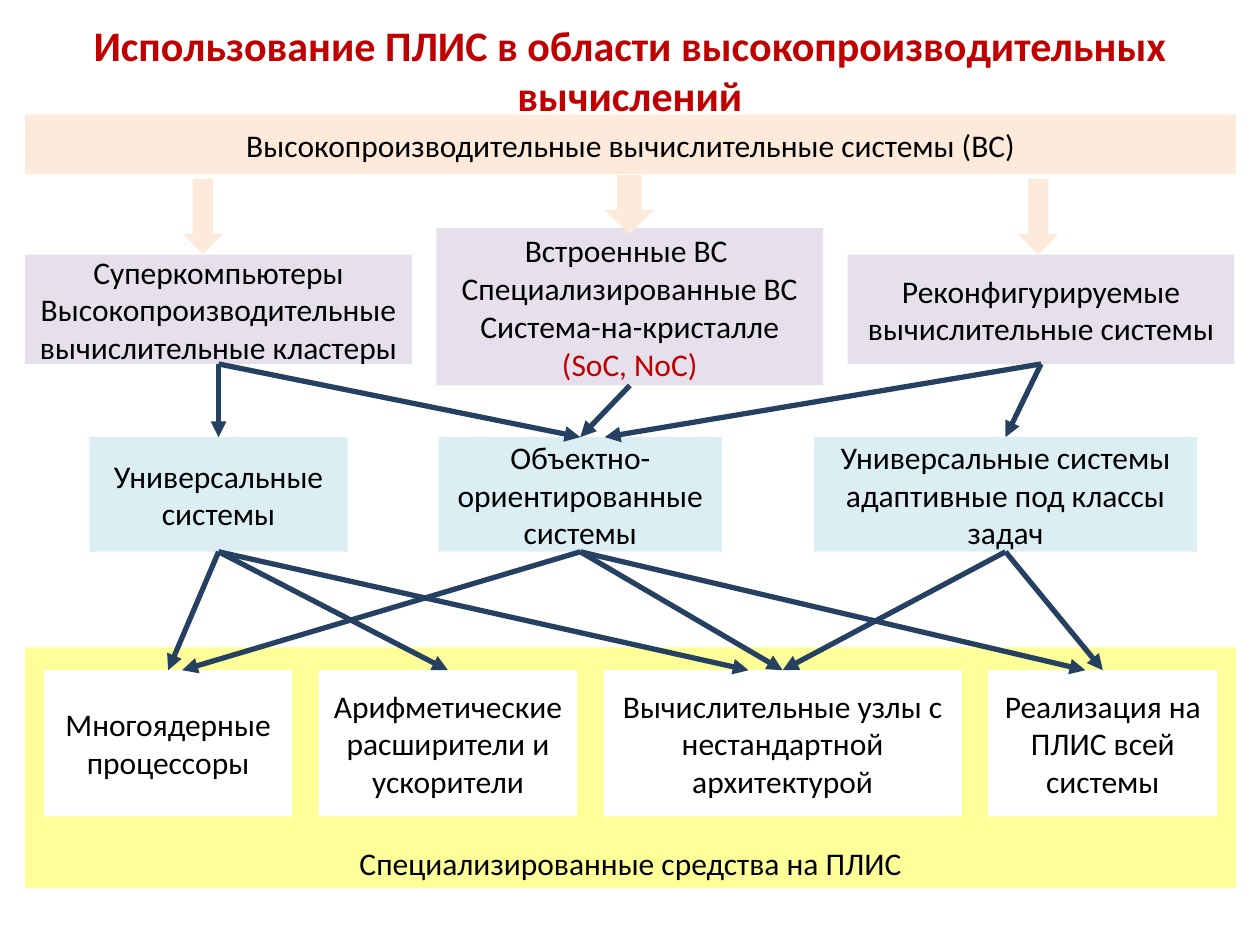
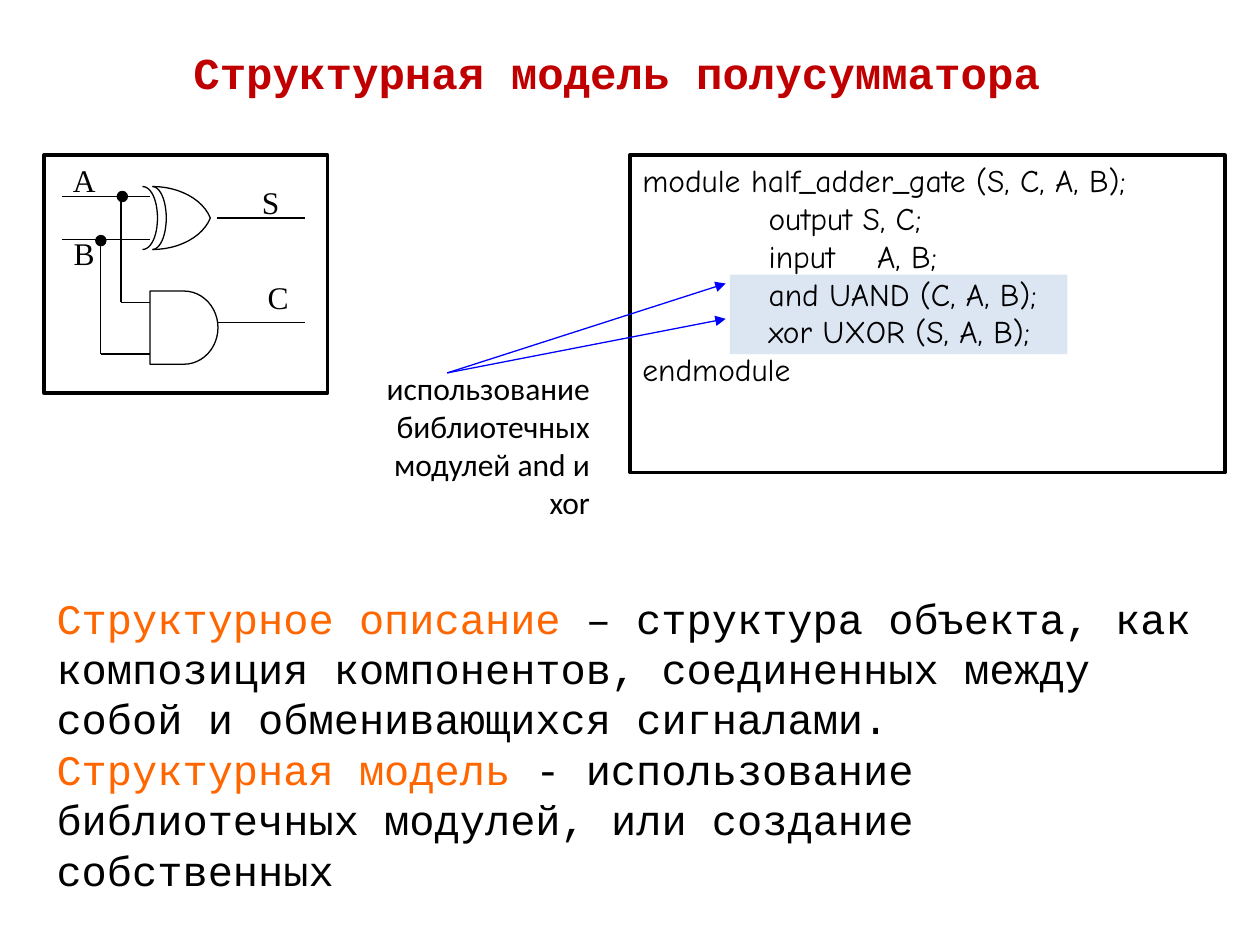
from math import comb

from pptx import Presentation
from pptx.dml.color import RGBColor
from pptx.enum.shapes import MSO_CONNECTOR, MSO_SHAPE
from pptx.enum.text import MSO_ANCHOR, PP_ALIGN
from pptx.oxml.ns import qn
from pptx.util import Pt
from lxml import etree

RECT, DOWN_ARROW = MSO_SHAPE.RECTANGLE, MSO_SHAPE.DOWN_ARROW
DELAY, OVAL = MSO_SHAPE.FLOWCHART_DELAY, MSO_SHAPE.OVAL
STRAIGHT = MSO_CONNECTOR.STRAIGHT
TOP, MIDDLE, BOTTOM = MSO_ANCHOR.TOP, MSO_ANCHOR.MIDDLE, MSO_ANCHOR.BOTTOM
LEFT, CENTER, RIGHT = PP_ALIGN.LEFT, PP_ALIGN.CENTER, PP_ALIGN.RIGHT
TOP_SIDE, BOTTOM_SIDE = 0, 2

color = RGBColor.from_string
BLACK, WHITE, RED, ORANGE = "000000", "FFFFFF", "C00000", "FF6600"
PEACH, LILAC, AQUA, YELLOW = "FDEADA", "E6E0EC", "DBEEF4", "FFFF99"
NAVY, BLUE, PALE_BLUE = "254061", "0000FF", "DCE6F2"

LABEL = {"name": "Calibri", "size": Pt(18)}
CODE = {"name": "Comic Neue", "size": Pt(18)}
SIGNAL = {"name": "Times New Roman", "size": Pt(18)}
BODY = {"name": "Courier New", "size": Pt(24)}


def add_box(shapes, kind, at, fill=None, line=None, paras=(), font=LABEL,
            align=CENTER, anchor=MIDDLE, wrap=True):
    """Add a shape, or a text box if kind is None.

    A paragraph is a string or a list of (text, colour) spans.
    """
    place = [Pt(value) for value in at]
    if kind is None:
        box = shapes.add_textbox(*place)
    else:
        box = shapes.add_shape(kind, *place)
        box.shadow.inherit = False
        if fill:
            box.fill.solid()
            box.fill.fore_color.rgb = color(fill)
        else:
            box.fill.background()
        if line:
            box.line.color.rgb = color(BLACK)
            box.line.width = Pt(line)
        else:
            box.line.fill.background()

    frame = box.text_frame
    for name, value in {"word_wrap": wrap, "vertical_anchor": anchor}.items():
        setattr(frame, name, value)
    for index, spans in enumerate(paras):
        para = frame.add_paragraph() if index else frame.paragraphs[0]
        para.alignment = align
        if isinstance(spans, str):
            spans = [(spans, BLACK)]
        for text, tint in spans:
            span = para.add_run()
            span.text = text
            for name, value in font.items():
                setattr(span.font, name, value)
            span.font.color.rgb = color(tint)
    return box


def add_line(shapes, start, end, tint=BLACK, width=0.75, arrow=False):
    line = shapes.add_connector(STRAIGHT, *[Pt(value) for value in (*start, *end)])
    line.line.color.rgb = color(tint)
    line.line.width = Pt(width)
    properties = line.element.spPr
    if arrow:
        etree.SubElement(properties.find(qn("a:ln")), qn("a:tailEnd"), type="triangle")
    etree.SubElement(properties, qn("a:effectLst"))
    return line


deck = Presentation()
deck.slide_width, deck.slide_height = Pt(720), Pt(540)
blank = deck.slide_layouts[6]
titles = [
    ("Использование ПЛИС в области высокопроизводительных вычислений",
     (36, 15, 648, 50), "Calibri", 24),
    ("Структурная модель полусумматора ", (36, 21.6, 648, 39), "Courier New", 25.2),
]
pages = []
for title, at, typeface, size in titles:
    page = deck.slides.add_slide(blank)
    add_box(page.shapes, None, at, paras=[[(title, RED)]],
            font={"name": typeface, "size": Pt(size), "bold": True})
    pages.append(page)

# Slide 1: hierarchy of computing systems
shapes = pages[0].shapes
margin, full_width = 14.4, 692
add_box(shapes, RECT, (margin, 370, full_width, 137.6), YELLOW,
        paras=["Специализированные средства на ПЛИС"], anchor=BOTTOM)
add_box(shapes, RECT, (margin, 65.5, full_width, 34), PEACH,
        paras=["Высокопроизводительные вычислительные системы (ВС)"])

boxes = {}
system_classes = [
    ("clusters", 145.5, 62.5,
     ["Суперкомпьютеры", "Высокопроизводительные вычислительные кластеры"]),
    ("embedded", 130.3, 90,
     ["Встроенные ВС ", "Специализированные ВС",
      [("Система-на-кристалле ", BLACK), ("(SoC, NoC)", RED)]]),
    ("reconfigurable", 145.5, 62.5, ["Реконфигурируемые вычислительные системы"]),
]
for column, (key, top, height, paras) in enumerate(system_classes):
    boxes[key] = add_box(shapes, RECT, (margin + 235 * column, top, 221, height),
                         LILAC, paras=paras)

for at in [(104.4, 102.2, 23, 43.2), (345.6, 100, 28, 34), (581.8, 102.2, 23, 43.2)]:
    add_box(shapes, DOWN_ARROW, at, PEACH)

orientations = [
    ("universal", 51.1, 147.6, "Универсальные системы"),
    ("object", 250.6, 162, "Объектно-ориентированные системы"),
    ("adaptive", 465.1, 219, "Универсальные системы адаптивные под классы задач"),
]
for key, left, width, text in orientations:
    boxes[key] = add_box(shapes, RECT, (left, 249.8, width, 65.5), AQUA, paras=[text])

means = [
    ("cores", 141.8, "Многоядерные процессоры"),
    ("arithmetic", 147.6, "Арифметические расширители и ускорители"),
    ("nodes", 204.5, "Вычислительные узлы с нестандартной архитектурой"),
    ("whole", 131, "Реализация на ПЛИС всей системы"),
]
left = 25.2
for key, width, text in means:
    boxes[key] = add_box(shapes, RECT, (left, 383, width, 83.5), WHITE, paras=[text])
    left += width + 15.2

# Arrows with a shift end beside the middle of the target's top side
links = [
    ("clusters", "universal", 0), ("clusters", "object", 0),
    ("embedded", "object", 0),
    ("reconfigurable", "object", 14), ("reconfigurable", "adaptive", 0),
    ("universal", "cores", 0), ("universal", "arithmetic", 0),
    ("universal", "nodes", -19.5),
    ("object", "cores", 8), ("object", "nodes", 0), ("object", "whole", -10),
    ("adaptive", "nodes", 0), ("adaptive", "whole", 0),
]
for source, target, shift in links:
    goal = boxes[target]
    end = ((goal.left + goal.width / 2) / Pt(1) + shift, goal.top / Pt(1))
    arrow = add_line(shapes, (0, 0), end, NAVY, 3, arrow=True)
    arrow.begin_connect(boxes[source], BOTTOM_SIDE)
    if not shift:
        arrow.end_connect(goal, TOP_SIDE)

# Slide 2: half adder
shapes = pages[1].shapes
add_box(shapes, RECT, (417, 157, 193, 45.4), PALE_BLUE)
code = [
    "module half_adder_gate (S, C, A, B);",
    "            output S, C;",
    "            input    A, B;",
    "            and UAND (C, A, B);",
    "            xor UXOR (S, A, B);",
    "endmodule",
]
add_box(shapes, RECT, (360, 88.6, 340, 181.4), line=2, paras=code, font=CODE,
        align=LEFT, anchor=TOP)

circuit = shapes.add_group_shape().shapes
wires = [
    ((35.3, 112.3), (85.7, 112.3)), ((35.3, 136.8), (85.7, 136.8)),
    ((69.1, 112.3), (69.1, 172.8)), ((69.1, 172.8), (85.7, 172.8)),
    ((57.6, 136.8), (57.6, 202.3)), ((57.6, 202.3), (85.7, 202.3)),
    ((123.8, 124.6), (174.2, 124.6)), ((123.8, 184.3), (174.2, 184.3)),
]
for start, end in wires:
    add_line(circuit, start, end)
add_box(circuit, DELAY, (85.7, 166.3, 38.9, 41.8), line=0.75)
for left, top in [(54.7, 134.6), (67, 109.4)]:
    add_box(circuit, OVAL, (left, top, 5.8, 5.8), BLACK, 0.75)
for name, left, top in [("A", 34.6, 88.6), ("B", 34.6, 130.3),
                        ("S", 141.1, 100.8), ("C", 145.4, 155.5)]:
    add_box(circuit, None, (left, top, 27, 28.8), paras=[name], font=SIGNAL, wrap=False)

# Each XOR curve is a Bezier half above the gate's axis and its mirror below
axis, steps = 124.6, 12
xor_curves = [
    [(87.1, 18), (102.2, 18), (115.9, 10.8), (120.2, 0)],
    [(87.1, 18), (91.4, 18), (95, 10.1), (95, 0)],
    [(81.4, 18), (86.4, 18), (90, 10.1), (90, 0)],
]
for controls in xor_curves:
    half = []
    for step in range(steps + 1):
        t = step / steps
        weights = [comb(3, k) * (1 - t) ** (3 - k) * t ** k for k in range(4)]
        half.append([sum(w * point[i] for w, point in zip(weights, controls))
                     for i in (0, 1)])
    outline = [(Pt(x), Pt(axis - y)) for x, y in half]
    outline += [(Pt(x), Pt(axis + y)) for x, y in reversed(half[:-1])]
    builder = circuit.build_freeform(*outline[0])
    builder.add_line_segments(outline[1:], close=False)
    curve = builder.convert_to_shape()
    curve.shadow.inherit = False
    curve.fill.background()
    curve.line.color.rgb = color(BLACK)
    curve.line.width = Pt(0.75)

add_box(shapes, RECT, (25.2, 88.6, 162, 136), line=2)
definitions = [
    [("Структурное описание", ORANGE),
     (" – структура объекта, как композиция компонентов, соединенных между собой "
      "и обменивающихся сигналами.", BLACK)],
    [("Структурная модель", ORANGE),
     (" - использование библиотечных модулей, или создание собственных", BLACK)],
]
add_box(shapes, None, (25.2, 334.8, 663, 167), paras=definitions, font=BODY,
        align=LEFT, anchor=TOP)
add_box(shapes, None, (198, 207.4, 146.2, 67.7), align=RIGHT, anchor=TOP,
        paras=["использование", "библиотечных", "модулей and и xor"])
for height in (162, 182.2):
    add_line(shapes, (255.6, 213.1), (414.7, height), BLUE, arrow=True)

deck.save("out.pptx")
